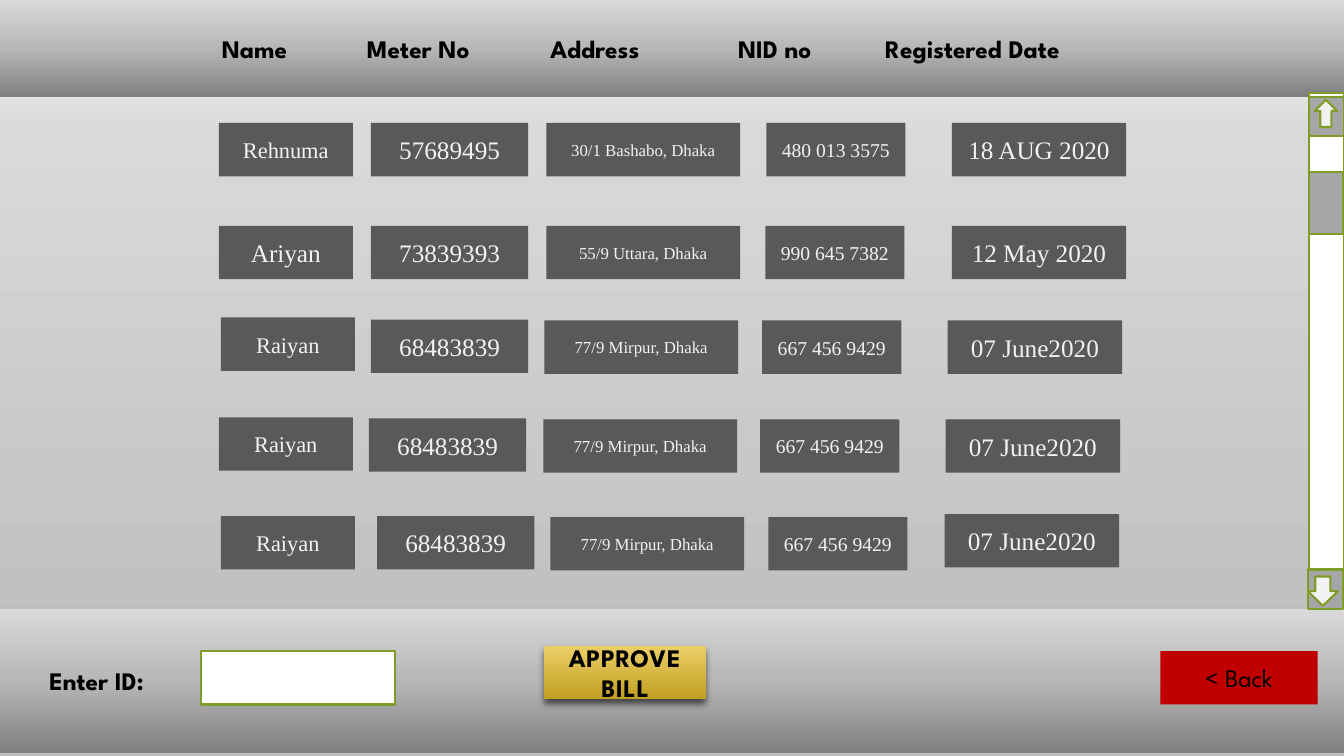
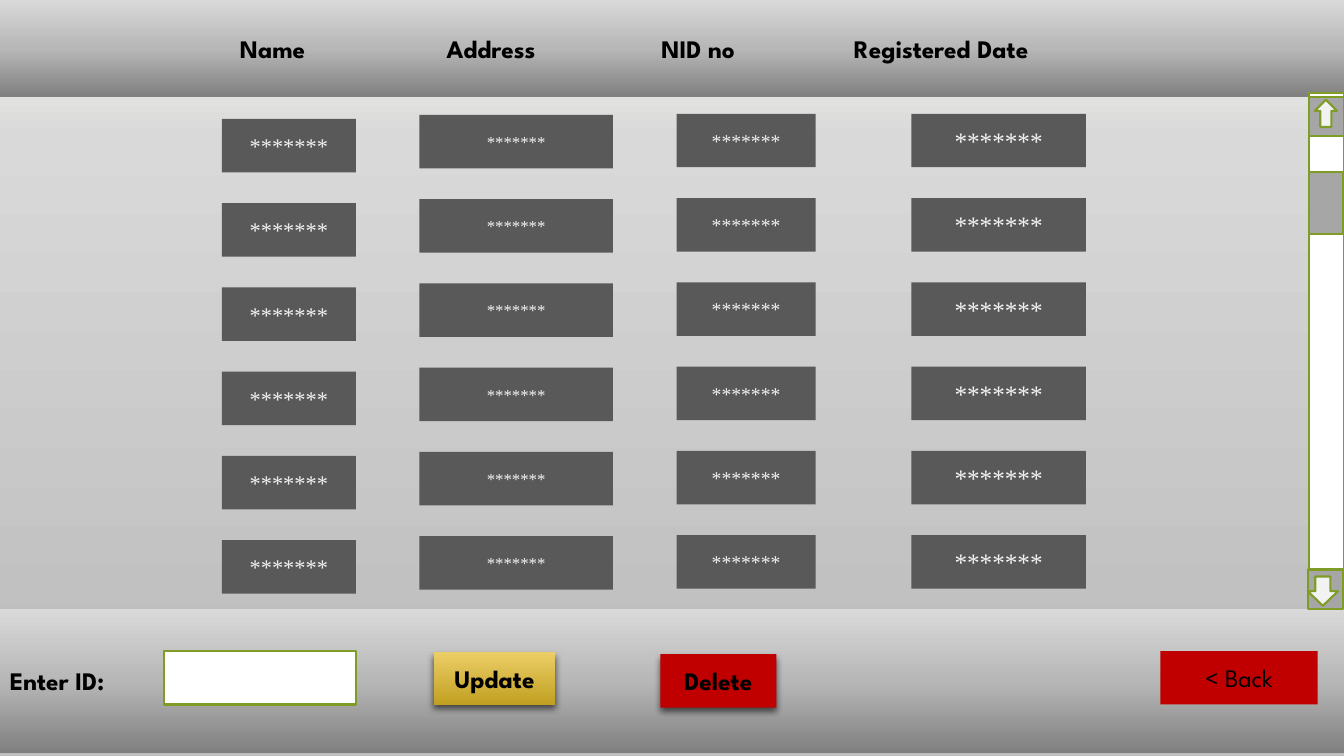
from lxml import etree
from pptx import Presentation
from pptx.dml.color import RGBColor
from pptx.enum import shapes, text
from pptx.oxml import ns
from pptx.util import Inches, Pt

BLACK = RGBColor(0x00, 0x00, 0x00)
WHITE = RGBColor(0xFF, 0xFF, 0xFF)
PALE = RGBColor(0xF2, 0xF2, 0xF2)
CELL_GREY = RGBColor(0x59, 0x59, 0x59)
SCROLL_GREY = RGBColor(0xA6, 0xA6, 0xA6)
GREEN = RGBColor(0x7F, 0x9D, 0x26)
RED = RGBColor(0xC0, 0x00, 0x00)

# Gradients: (angle, stops); angles run anticlockwise.
BACKDROP = (270, [(0, RGBColor(0xFB, 0xFD, 0xF5)), (18, RGBColor(0xD9, 0xD9, 0xD9)),
                  (85, RGBColor(0xBF, 0xBF, 0xBF))])
STEEL = (90, [(0, RGBColor(0x80, 0x80, 0x80)), (50, RGBColor(0xB7, 0xB7, 0xB7)),
              (100, RGBColor(0xD9, 0xD9, 0xD9))])
GOLD = (270, [(0, RGBColor(0xEB, 0xCE, 0x66)), (100, RGBColor(0xC1, 0xA0, 0x21))])

HEADING = {"name": "League Spartan", "size": Pt(18), "bold": True}
BACK = {"name": "League Spartan", "size": Pt(18)}
CELL_FONT = "Times New Roman"

SLIDE_W, SLIDE_H = 13.33, 7.5
INSET = 0.1
CONTROL_H = 0.53
RECT = shapes.MSO_SHAPE.RECTANGLE
ARROW = shapes.MSO_SHAPE.UP_ARROW

# Column: (width, text size)
NAME, METER, ADDRESS, NID, DATE = (1.33, 16), (1.56, 18), (1.92, 12), (1.38, 14), (1.73, 18)

BILL_COLUMNS = [NAME, METER, ADDRESS, NID, DATE]
BILL_HEADINGS = [("Name", 2.2), ("Meter No", 3.64), ("Address", 5.46),
                 ("NID no", 7.32), ("Registered Date", 8.78)]
RAIYAN = ["Raiyan", "68483839", "77/9 Mirpur, Dhaka", "667 456 9429", "07 June2020"]
# Row: (texts, lefts, tops)
BILL_ROWS = [
    (["Rehnuma", "57689495", "30/1 Bashabo, Dhaka", "480 013 3575", "18 AUG 2020"],
     [2.17, 3.68, 5.42, 7.6, 9.44], [1.22] * 5),
    (["Ariyan", "73839393", "55/9 Uttara, Dhaka", "990 645 7382", "12 May 2020"],
     [2.17, 3.68, 5.42, 7.59, 9.44], [2.24] * 5),
    (RAIYAN, [2.19, 3.68, 5.4, 7.56, 9.4], [3.15, 3.17, 3.18, 3.18, 3.18]),
    (RAIYAN, [2.17, 3.66, 5.39, 7.54, 9.38], [4.14, 4.15, 4.16, 4.16, 4.16]),
    (RAIYAN, [2.19, 3.74, 5.46, 7.62, 9.37], [5.12, 5.12, 5.13, 5.13, 5.1]),
]
LARGE_NAMES = {"Ariyan": 18}

USER_COLUMNS = [NAME, ADDRESS, NID, DATE]
USER_HEADINGS = [("Name", 2.38), ("Address", 4.43), ("NID no", 6.56),
                 ("Registered Date", 8.47)]
USER_LEFTS = [2.2, 4.16, 6.71, 9.04]
USER_TOPS = [1.18, 1.14, 1.13, 1.13]
USER_COUNT = 6
USER_PITCH = (5.36 - 1.18) / (USER_COUNT - 1)
MASK = "*******"


def sub(parent, tag, **attributes):
    child = etree.SubElement(parent, ns.qn(tag))
    for key, value in attributes.items():
        child.set(key, str(value))
    return child


def paint_gradient(fill, owner, gradient):
    angle, stops = gradient
    fill.gradient()
    fill.gradient_angle = angle
    stop_list = owner.xpath(".//a:gradFill/a:gsLst")[0]
    for stop in list(stop_list):
        stop_list.remove(stop)
    for position, colour in stops:
        stop = sub(stop_list, "a:gs", pos=position * 1000)
        sub(stop, "a:srgbClr", val=colour)


def add_box(slide, at, fill, line=None, kind=RECT):
    box = slide.shapes.add_shape(kind, *map(Inches, at))
    box.shadow.inherit = False
    if isinstance(fill, RGBColor):
        box.fill.solid()
        box.fill.fore_color.rgb = fill
    else:
        paint_gradient(box.fill, box.element, fill)
    if line is None:
        box.line.fill.background()
    else:
        box.line.color.rgb = line
        box.line.width = Pt(1.5)
    return box


def write(box, words, style, colour=BLACK, align=text.PP_ALIGN.CENTER):
    paragraph = box.text_frame.paragraphs[0]
    paragraph.alignment = align
    run = paragraph.add_run()
    run.text = words
    for key, value in style.items():
        setattr(run.font, key, value)
    run.font.color.rgb = colour
    return run


def add_band(slide, top, height, entries):
    """Full-width steel band; each entry (words, left) starts at its own left."""
    band = add_box(slide, (0, top, SLIDE_W, height), STEEL)
    start = entries[0][1]
    band.text_frame.margin_left = Inches(start)
    properties = band.text_frame.paragraphs[0]._p.get_or_add_pPr()
    if len(entries) > 1:
        tabs = sub(properties, "a:tabLst")
        for _, left in entries[1:]:
            sub(tabs, "a:tab", pos=Inches(left - start), algn="l")
    write(band, "\t".join(words for words, _ in entries), HEADING,
          align=text.PP_ALIGN.LEFT)


def add_cell(slide, column, left, top, words):
    width, size = column
    cell = add_box(slide, (left, top, width, CONTROL_H), CELL_GREY)
    style = {"name": CELL_FONT, "size": Pt(LARGE_NAMES.get(words, size))}
    write(cell, words, style, PALE)


def add_row(slide, columns, lefts, tops, words):
    for column, left, top, word in zip(columns, lefts, tops, words):
        add_cell(slide, column, left, top, word)


def add_action(slide, at, fill, words):
    """Raised button with a soft shadow below it."""
    button = add_box(slide, at, fill)
    effects = button.element.spPr.find(ns.qn("a:effectLst"))
    shadow = sub(effects, "a:outerShdw", blurRad=Pt(5), dist=Pt(3),
                 dir=90 * 60000, algn="ctr", rotWithShape=0)
    colour = sub(shadow, "a:srgbClr", val=BLACK)
    sub(colour, "a:alpha", val=60000)
    return write(button, words, HEADING)


def add_back_button(slide):
    button = add_box(slide, (11.51, 6.46, 1.56, CONTROL_H), RED)
    properties = write(button, "< Back", BACK).font._element
    outline = sub(properties, "a:ln", w=Pt(0.75))
    sub(sub(outline, "a:solidFill"), "a:srgbClr", val=BLACK)
    properties.insert(0, outline)


def add_scrollbar(slide):
    add_box(slide, (12.98, 0.92, 0.35, 5.08), WHITE, GREEN)
    for at in [(12.98, 0.96, 0.35, 0.39), (12.97, 5.65, 0.35, 0.39),
               (12.98, 1.71, 0.34, 0.61)]:
        add_box(slide, at, SCROLL_GREY, GREEN)
    add_box(slide, (13.04, 0.99, 0.22, 0.27), PALE, GREEN, ARROW)
    down = add_box(slide, (12.97, 5.72, 0.3, 0.29), PALE, GREEN, ARROW)
    down.rotation = 180


def add_screen(deck, headings, prompt_left, field_left, field_width):
    """Slide with the parts that every screen shares."""
    slide = deck.slides.add_slide(deck.slide_layouts[6])
    paint_gradient(slide.background.fill, slide.element, BACKDROP)
    add_band(slide, 6.04, 1.43, [("Enter ID:", prompt_left)])
    add_band(slide, 0, 0.96, headings)
    add_back_button(slide)
    add_scrollbar(slide)
    add_box(slide, (field_left, 6.46, field_width, CONTROL_H), WHITE, GREEN)
    return slide


def build_bills(deck):
    slide = add_screen(deck, BILL_HEADINGS, 0.49, 1.99, 1.93)
    for words, lefts, tops in BILL_ROWS:
        add_row(slide, BILL_COLUMNS, lefts, tops, words)
    approve = add_action(slide, (5.4, 6.41, 1.6, CONTROL_H), GOLD, "APPROVE BILL")
    approve.font._element.set("spc", "50")


def build_users(deck):
    slide = add_screen(deck, USER_HEADINGS, INSET, 1.63, 1.9)
    for index in range(USER_COUNT):
        tops = [top + index * USER_PITCH for top in USER_TOPS]
        add_row(slide, USER_COLUMNS, USER_LEFTS, tops, [MASK] * len(USER_COLUMNS))
    add_action(slide, (4.3, 6.47, 1.21, 0.52), GOLD, "Update")
    add_action(slide, (6.55, 6.49, 1.15, CONTROL_H), RED, "Delete")


def main():
    deck = Presentation()
    deck.slide_width, deck.slide_height = Inches(SLIDE_W), Inches(SLIDE_H)
    build_bills(deck)
    build_users(deck)
    deck.save("out.pptx")


if __name__ == "__main__":
    main()
